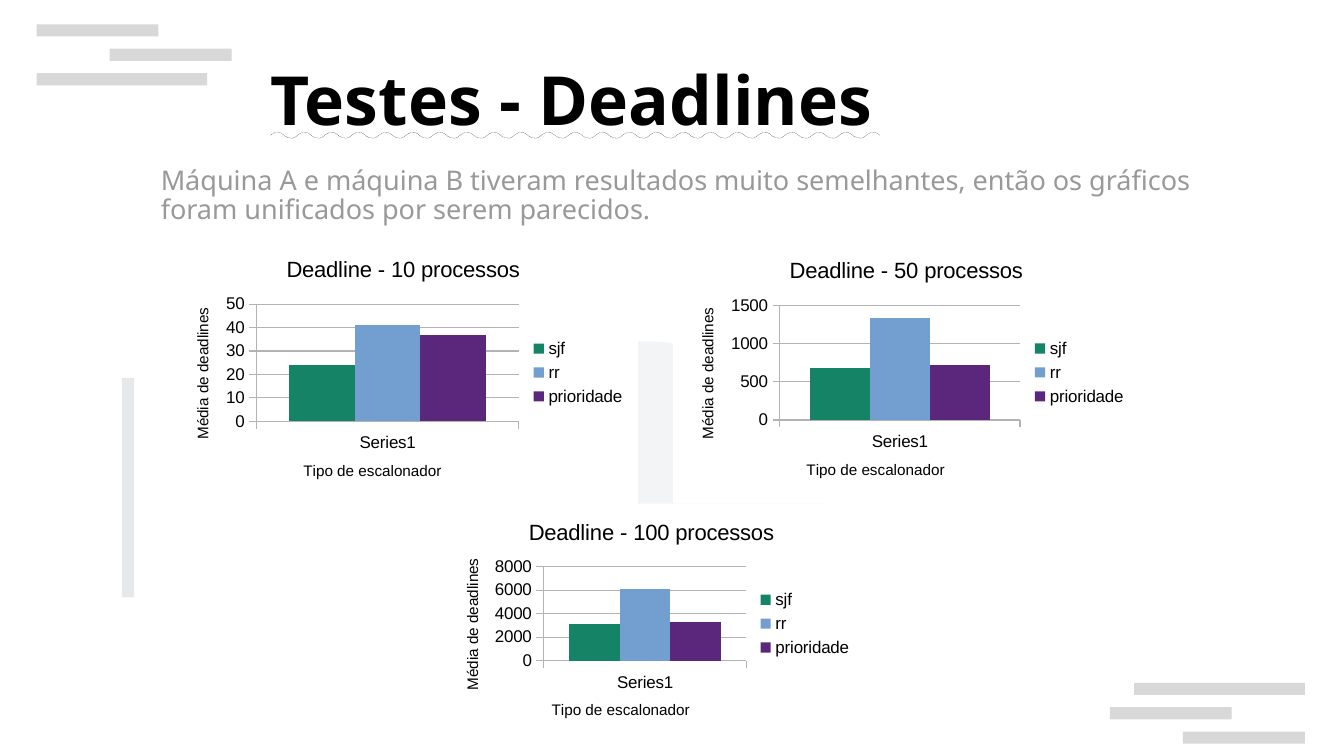
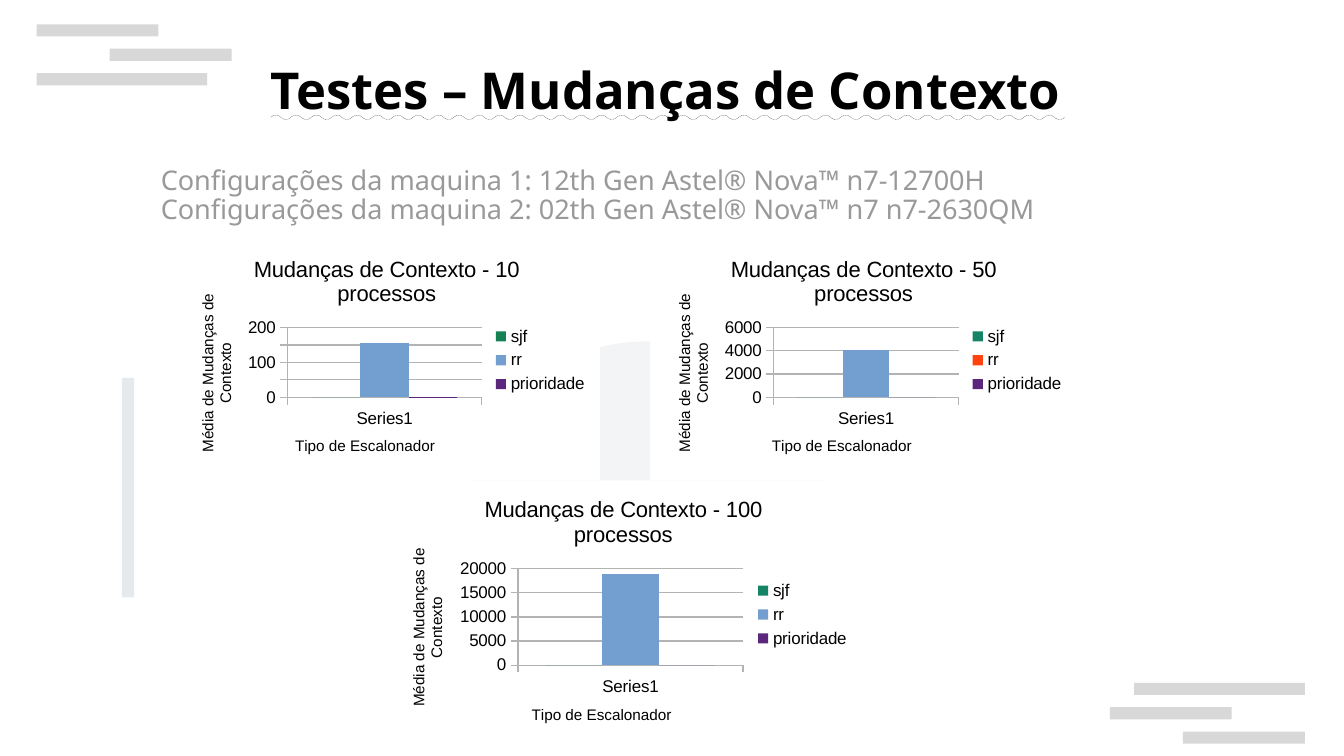
from dataclasses import dataclass
from typing import Optional

from lxml import etree
from pptx import Presentation, util as u
from pptx.chart import axis as chart_axis, chart as chart_module, data
from pptx.dml.color import RGBColor
from pptx.enum import chart as chart_enum, shapes, text
from pptx.oxml.ns import qn
from pptx.slide import Slide
from pptx.text.text import Font

BLACK = RGBColor(0x00, 0x00, 0x00)
WHITE = RGBColor(0xFF, 0xFF, 0xFF)
BAND_GRAY = RGBColor(0xCC, 0xCC, 0xCC)
DISC_GRAY = RGBColor(0x8D, 0x99, 0xAE)
RULE_GRAY = RGBColor(0xCE, 0xD4, 0xDA)
BODY_GRAY = RGBColor(0x99, 0x99, 0x99)
GRID_GRAY = RGBColor(0xB3, 0xB3, 0xB3)
GREEN = RGBColor(0x15, 0x84, 0x66)
LEAF_GREEN = RGBColor(0x16, 0x82, 0x53)
BLUE = RGBColor(0x72, 0x9F, 0xCF)
ORANGE = RGBColor(0xFF, 0x42, 0x0E)
PURPLE = RGBColor(0x5B, 0x27, 0x7D)

TEXT_FONT = "Noto Sans"
CHART_FONT = "Arial"
SCHEDULERS = ("sjf", "rr", "prioridade")


@dataclass(frozen=True)
class Box:
    left: float
    top: float
    width: float
    height: float

    def lengths(self) -> tuple[u.Length, ...]:
        return tuple(u.Inches(n) for n in (self.left, self.top, self.width, self.height))


@dataclass(frozen=True)
class Decoration:
    box: Box
    color: RGBColor
    opacity: int
    kind: shapes.MSO_SHAPE = shapes.MSO_SHAPE.RECTANGLE


@dataclass(frozen=True)
class SchedulerChart:
    processes: int
    box: Box
    values: tuple[int, int, int]
    maximum: int
    step: int
    colors: tuple[RGBColor, RGBColor, RGBColor] = (GREEN, BLUE, PURPLE)
    rr_bar_color: Optional[RGBColor] = None


@dataclass(frozen=True)
class TestSlide:
    title: str
    title_size: int
    body: tuple[str, ...]
    chart_title: str
    value_title: str
    category_title: str
    charts: tuple[SchedulerChart, ...]


TITLE_BOX = Box(2.12, 0.47, 8.12, 1.39)
BODY_BOX = Box(1.22, 1.32, 8.66, 4.23)

BANDS = tuple(
    Decoration(Box(left, top, width, 0.1), BAND_GRAY, 75)
    for left, top, width in (
        (9.3, 5.6, 1.4), (9.1, 5.8, 1), (9.7, 6, 1),
        (0.3, 0.6, 1.4), (0.9, 0.4, 1), (0.3, 0.2, 1),
    )
)
DISC = Decoration(Box(3.8, 2.8, 3, 3), DISC_GRAY, 10, shapes.MSO_SHAPE.OVAL)
SIDE_RULE = Decoration(Box(1, 3.1, 0.1, 1.8), RULE_GRAY, 50)

TEST_SLIDES = (
    TestSlide(
        "Testes - Deadlines", 40,
        ("Máquina A e máquina B tiveram resultados muito semelhantes, "
         "então os gráficos foram unificados por serem parecidos.",),
        "Deadline", "Média de deadlines", "Tipo de escalonador",
        (
            SchedulerChart(10, Box(1.38, 1.97, 3.85, 2.17), (24, 41, 37), 50, 10),
            SchedulerChart(50, Box(5.52, 1.98, 3.82, 2.15), (680, 1330, 720), 1500, 500),
            SchedulerChart(100, Box(3.59, 4.13, 3.5, 1.97), (3100, 6100, 3300), 8000, 2000),
        ),
    ),
    TestSlide(
        "Testes – Mudanças de Contexto", 30,
        ("Configurações da maquina 1: 12th Gen Astel® Nova™ n7-12700H",
         "Configurações da maquina 2: 02th Gen Astel® Nova™ n7 n7-2630QM"),
        "Mudanças de Contexto", "Média de Mudanças de Contexto", "Tipo de Escalonador",
        (
            SchedulerChart(10, Box(1.42, 1.97, 3.5, 1.97), (0, 155, 1), 200, 50,
                           (LEAF_GREEN, BLUE, PURPLE)),
            SchedulerChart(50, Box(5.33, 1.97, 3.5, 1.97), (0, 4100, 0), 6000, 2000,
                           (GREEN, ORANGE, PURPLE), BLUE),
            SchedulerChart(100, Box(3.15, 3.94, 3.92, 2.2), (0, 18900, 0), 20000, 5000),
        ),
    ),
)


def set_font(font: Font, name: str, size: float, color: RGBColor, bold: bool = False) -> None:
    font.name = name
    font.size = u.Pt(size)
    font.color.rgb = color
    font.bold = bold


def add_decoration(slide: Slide, decoration: Decoration) -> None:
    shape = slide.shapes.add_shape(decoration.kind, *decoration.box.lengths())
    shape.shadow.inherit = False
    shape.line.fill.background()
    shape.fill.solid()
    shape.fill.fore_color.rgb = decoration.color
    color_element = shape.element.xpath(".//a:srgbClr")[0]
    etree.SubElement(color_element, qn("a:alpha"), val=str(decoration.opacity * 1000))


def add_text(slide: Slide, box: Box, lines: tuple[str, ...], size: float, color: RGBColor,
             spacing: float, heading: bool = False) -> None:
    frame = slide.shapes.add_textbox(*box.lengths()).text_frame
    frame.word_wrap = True
    frame.text = "\n".join(lines)
    for paragraph in frame.paragraphs:
        paragraph.line_spacing = spacing
        for run in paragraph.runs:
            set_font(run.font, TEXT_FONT, size, color, heading)
            if heading:
                run.font.underline = text.MSO_UNDERLINE.WAVY_LINE


def set_chart_title(title: chart_module.ChartTitle | chart_axis.AxisTitle,
                    wording: str, size: float) -> None:
    title.text_frame.text = wording
    set_font(title.text_frame.paragraphs[0].runs[0].font, CHART_FONT, size, BLACK)


def style_axis(axis: chart_axis.CategoryAxis | chart_axis.ValueAxis, title: str) -> None:
    set_chart_title(axis.axis_title, title, 9)
    set_font(axis.tick_labels.font, CHART_FONT, 10, BLACK)
    axis.major_tick_mark = chart_enum.XL_TICK_MARK.OUTSIDE
    axis.minor_tick_mark = chart_enum.XL_TICK_MARK.NONE
    axis.format.line.color.rgb = GRID_GRAY
    axis.format.line.width = u.Pt(0)


def fill_chart_background(chart: chart_module.Chart) -> None:
    properties = etree.Element(qn("c:spPr"))
    fill = etree.SubElement(properties, qn("a:solidFill"))
    etree.SubElement(fill, qn("a:srgbClr"), val=str(WHITE))
    outline = etree.SubElement(properties, qn("a:ln"))
    etree.SubElement(outline, qn("a:noFill"))
    chart.element.find(qn("c:chart")).addnext(properties)


def add_scheduler_chart(slide: Slide, test: TestSlide, item: SchedulerChart) -> None:
    chart_data = data.CategoryChartData()
    chart_data.categories = ["Series1"]
    for name, value in zip(SCHEDULERS, item.values):
        chart_data.add_series(name, [value])
    chart = slide.shapes.add_chart(
        chart_enum.XL_CHART_TYPE.COLUMN_CLUSTERED, *item.box.lengths(), chart_data
    ).chart
    set_font(chart.font, CHART_FONT, 10, BLACK)
    fill_chart_background(chart)
    set_chart_title(chart.chart_title, f"{test.chart_title} - {item.processes} processos", 13)
    chart.chart_title.include_in_layout = False

    chart.has_legend = True
    chart.legend.position = chart_enum.XL_LEGEND_POSITION.RIGHT
    chart.legend.include_in_layout = False
    set_font(chart.legend.font, CHART_FONT, 10, BLACK)

    style_axis(chart.category_axis, test.category_title)
    value_axis = chart.value_axis
    style_axis(value_axis, test.value_title)
    value_axis.axis_title.element.xpath(".//a:bodyPr")[0].set("rot", "-5400000")
    value_axis.minimum_scale = 0
    value_axis.maximum_scale = item.maximum
    value_axis.major_unit = item.step
    value_axis.major_gridlines.format.line.color.rgb = GRID_GRAY
    value_axis.major_gridlines.format.line.width = u.Pt(0)

    plot = chart.plots[0]
    plot.vary_by_categories = False
    plot.gap_width = 100
    plot.overlap = 0
    for series, color in zip(plot.series, item.colors):
        series.format.fill.solid()
        series.format.fill.fore_color.rgb = color
    if item.rr_bar_color is not None:
        bar_fill = plot.series[SCHEDULERS.index("rr")].points[0].format.fill
        bar_fill.solid()
        bar_fill.fore_color.rgb = item.rr_bar_color


def add_test_slide(presentation: Presentation, test: TestSlide) -> None:
    slide = presentation.slides.add_slide(presentation.slide_layouts[6])
    slide.background.fill.solid()
    slide.background.fill.fore_color.rgb = WHITE
    for decoration in (*BANDS, DISC):
        add_decoration(slide, decoration)
    add_text(slide, TITLE_BOX, (test.title,), test.title_size, BLACK, 0.95, heading=True)
    add_text(slide, BODY_BOX, test.body, 16, BODY_GRAY, 0.9)
    add_decoration(slide, SIDE_RULE)
    for item in test.charts:
        add_scheduler_chart(slide, test, item)


def main() -> None:
    presentation = Presentation()
    presentation.slide_width = u.Inches(11.02)
    presentation.slide_height = u.Inches(6.2)
    for test in TEST_SLIDES:
        add_test_slide(presentation, test)
    presentation.save("out.pptx")


if __name__ == "__main__":
    main()
